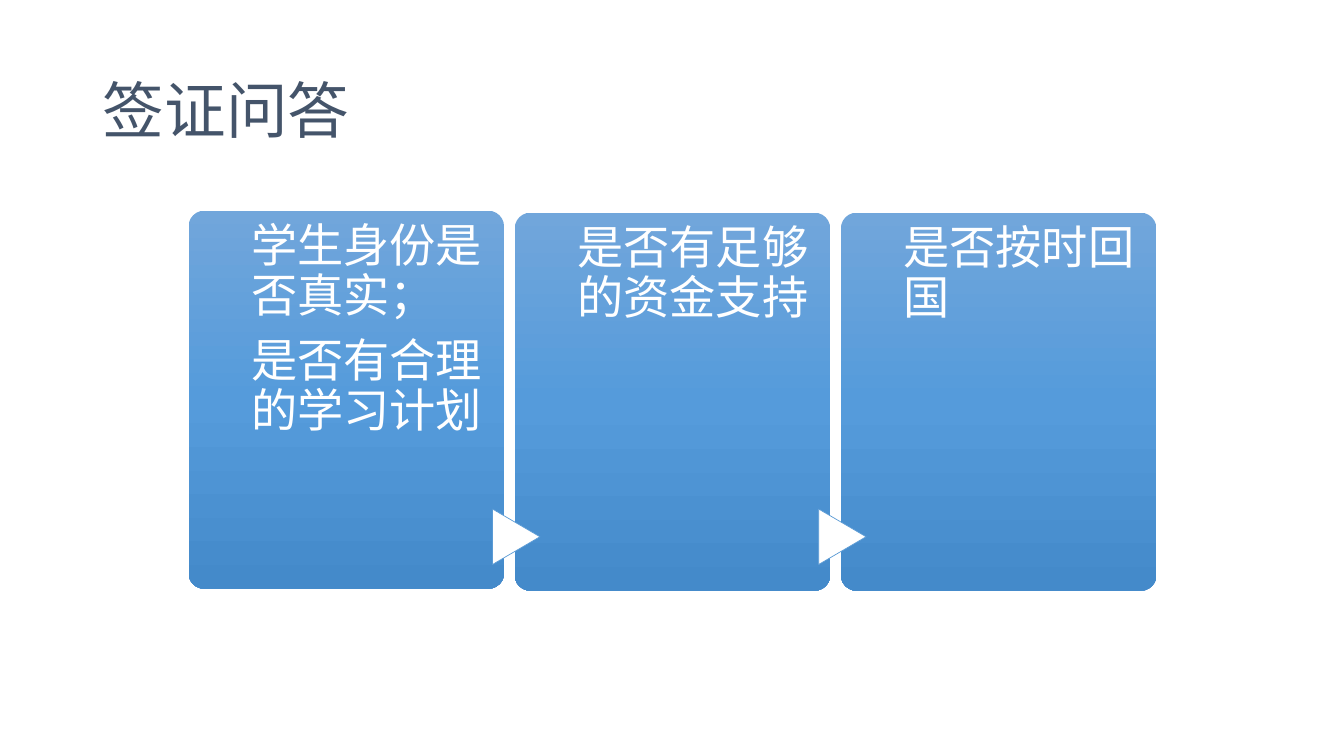
from dataclasses import dataclass

from lxml.etree import SubElement
from pptx import Presentation
from pptx.dml.color import RGBColor
from pptx.enum.shapes import MSO_SHAPE
from pptx.enum.text import MSO_ANCHOR, MSO_AUTO_SIZE, PP_ALIGN
from pptx.oxml.ns import qn
from pptx.slide import Slide
from pptx.text.text import TextFrame
from pptx.util import Inches, Pt

FONT = "Noto Sans CJK SC"
HUES = {
    "title": "44546A",
    "white": "FFFFFF",
    "edge": "5B9BD5",
    "top": "71A6DB",
    "mid": "559BDB",
    "low": "448ACA",
}
LEFT, STEP = 1.87, 3.235
WIDTH, HEIGHT = 3.13, 3.75


@dataclass
class Card:
    top: float
    lines: list[str]


CARDS = [
    Card(2.09, ["学生身份是否真实；", "是否有合理的学习计划"]),
    Card(2.11, ["是否有足够的资金支持"]),
    Card(2.11, ["是否按时回国"]),
]


def write(frame: TextFrame, lines: list[str], size: int, hue: str) -> None:
    frame.word_wrap = True
    frame.auto_size = MSO_AUTO_SIZE.NONE
    for i, line in enumerate(lines):
        para = frame.add_paragraph() if i else frame.paragraphs[0]
        para.alignment = PP_ALIGN.LEFT
        para.line_spacing = 0.9
        run = para.add_run()
        run.text = line
        font = run.font
        font.size = Pt(size)
        font.name = FONT
        font.color.rgb = RGBColor.from_string(HUES[hue])
        # East Asian typeface
        SubElement(run._r.get_or_add_rPr(), qn("a:ea"), typeface=FONT)


def add_panel(slide: Slide, left: float, top: float) -> None:
    panel = slide.shapes.add_shape(
        MSO_SHAPE.ROUNDED_RECTANGLE,
        Inches(left), Inches(top), Inches(WIDTH), Inches(HEIGHT))
    panel.adjustments[0] = 0.05
    panel.shadow.inherit = False
    panel.line.fill.background()
    # Three-stop gradient, running downwards
    panel.fill.gradient()
    panel.fill.gradient_angle = 270
    stops = panel._element.spPr.find(qn("a:gradFill")).find(qn("a:gsLst"))
    for stop in list(stops):
        stops.remove(stop)
    for pos, hue in ((0, "top"), (50, "mid"), (100, "low")):
        stop = SubElement(stops, qn("a:gs"), pos=str(pos * 1000))
        SubElement(stop, qn("a:srgbClr"), val=HUES[hue])


def add_arrow(slide: Slide, left: float) -> None:
    arrow = slide.shapes.add_shape(
        MSO_SHAPE.FLOWCHART_EXTRACT,
        Inches(left), Inches(5.09), Inches(0.55), Inches(0.47))
    arrow.rotation = 90
    arrow.shadow.inherit = False
    arrow.fill.solid()
    arrow.fill.fore_color.rgb = RGBColor.from_string(HUES["white"])
    arrow.line.color.rgb = RGBColor.from_string(HUES["edge"])
    arrow.line.width = Pt(0.5)


def add_label(slide: Slide, left: float, card: Card) -> None:
    box = slide.shapes.add_textbox(
        Inches(left), Inches(card.top), Inches(2.33), Inches(HEIGHT))
    frame = box.text_frame
    frame.margin_left = frame.margin_right = frame.margin_bottom = 0
    frame.margin_top = Inches(0.12)
    write(frame, card.lines, 33, "white")
    for para in frame.paragraphs:
        para.space_after = Pt(11)


def main() -> None:
    deck = Presentation()
    deck.slide_width, deck.slide_height = Inches(13.33), Inches(7.5)
    slide = deck.slides.add_slide(deck.slide_layouts[5])

    # Title
    title = slide.shapes.title
    title.left, title.top = Inches(0.92), Inches(0.4)
    title.width, title.height = Inches(11.5), Inches(1.45)
    title.text_frame.vertical_anchor = MSO_ANCHOR.MIDDLE
    write(title.text_frame, ["签证问答"], 44, "title")

    # Cards, each after the first led in by an arrow
    for i, card in enumerate(CARDS):
        left = LEFT + i * STEP
        add_panel(slide, left, card.top)
        if i:
            add_arrow(slide, left - 0.26)
        add_label(slide, left + 0.62, card)

    deck.save("out.pptx")


if __name__ == "__main__":
    main()
